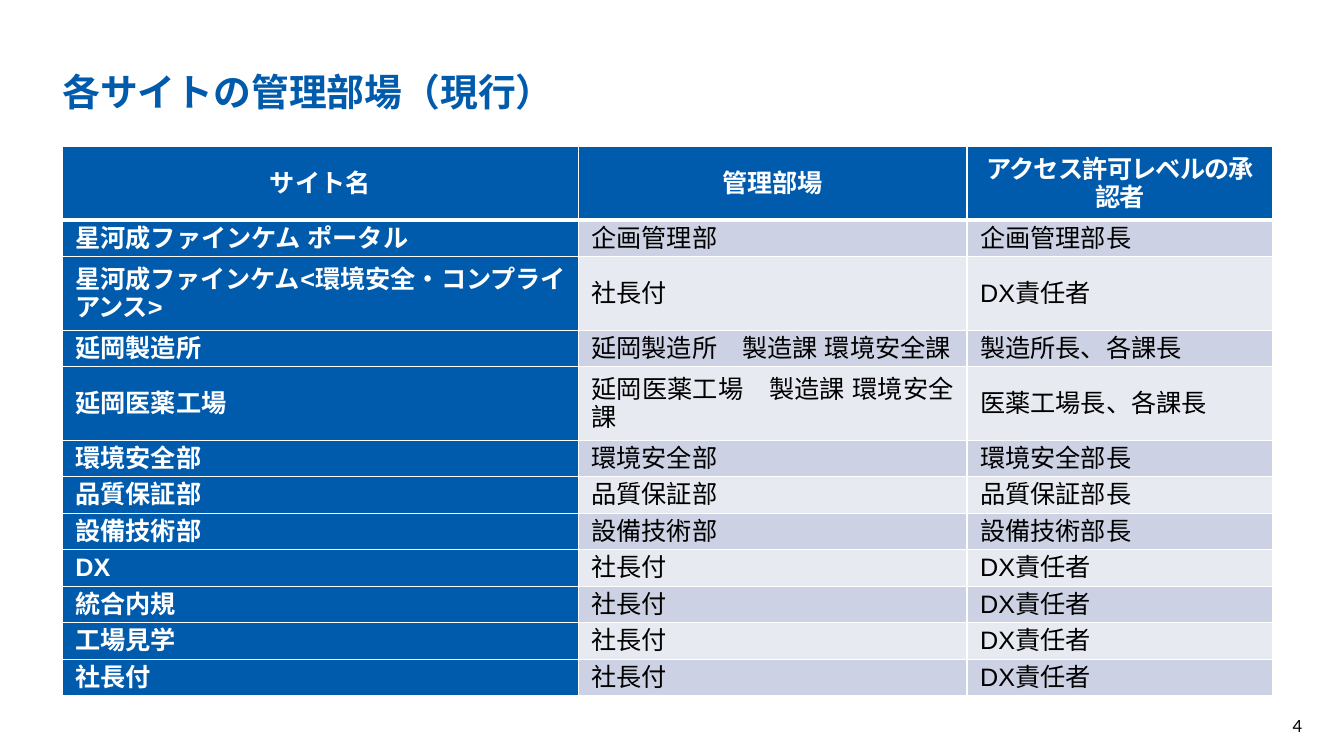
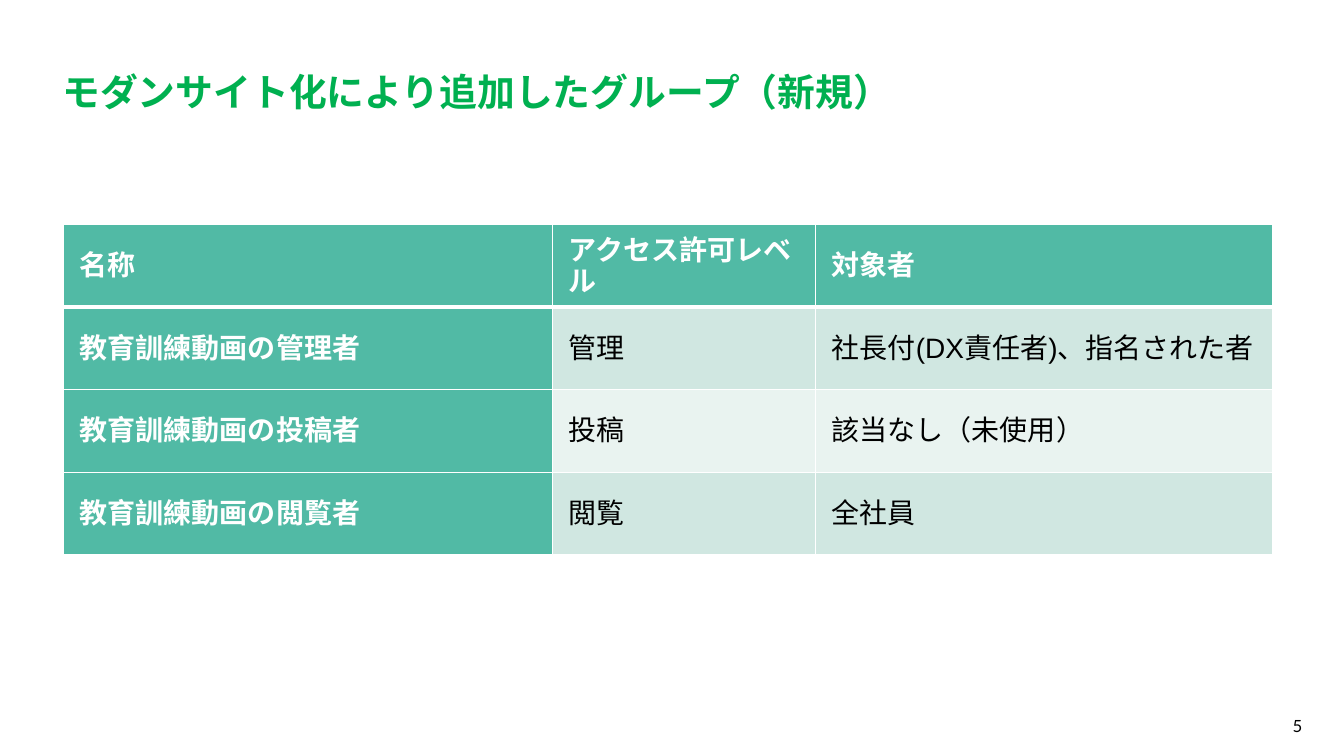
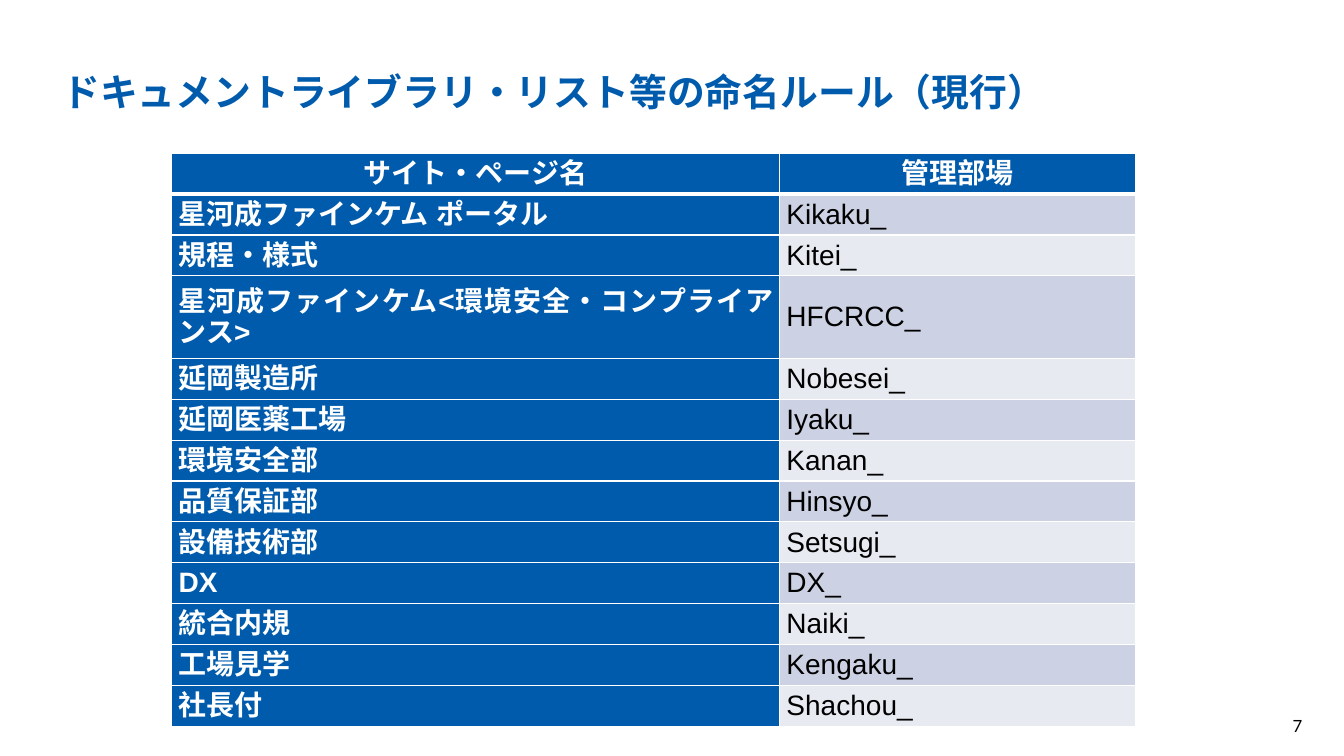
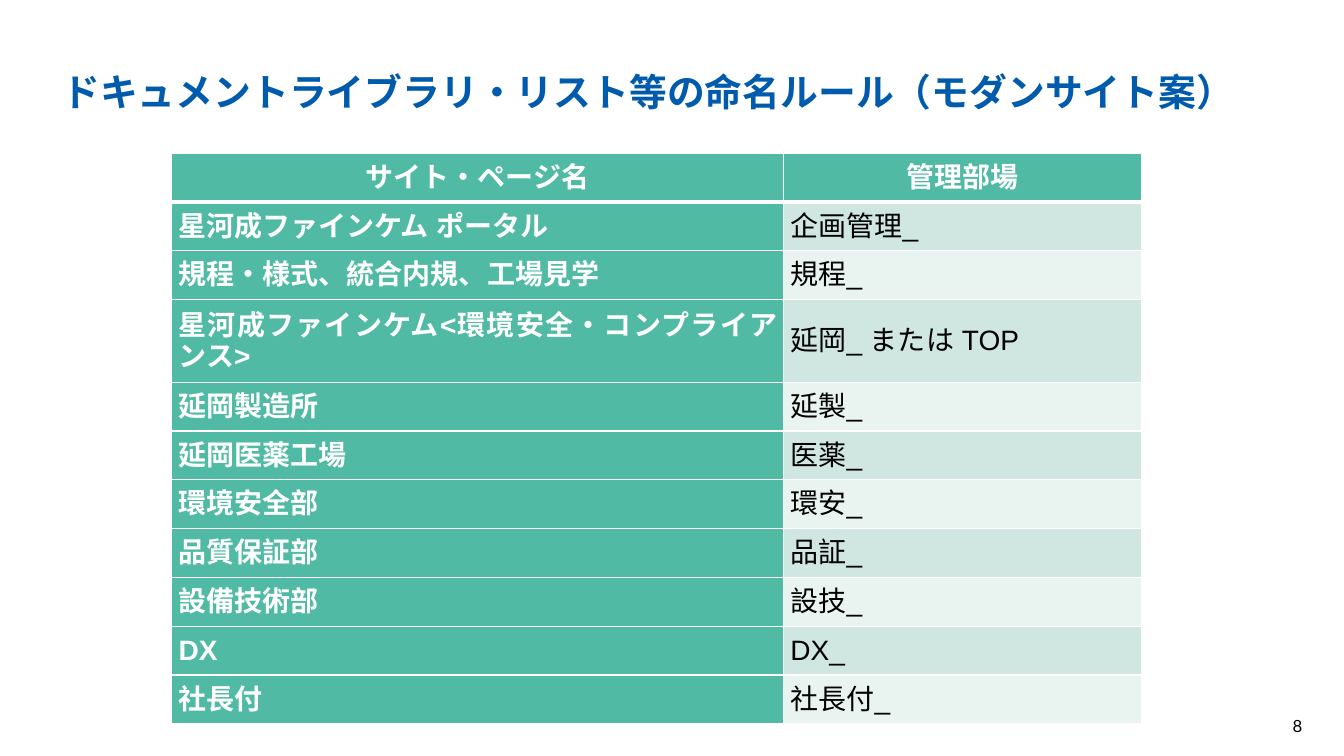
from lxml import etree
from pptx import Presentation
from pptx.dml.color import RGBColor
from pptx.enum.text import MSO_ANCHOR, MSO_AUTO_SIZE, PP_ALIGN
from pptx.oxml.ns import qn
from pptx.util import Cm, Pt

LEFT, MID, RIGHT, JUST = (PP_ALIGN.LEFT, PP_ALIGN.CENTER,
                          PP_ALIGN.RIGHT, PP_ALIGN.JUSTIFY)
TOP, CENTER = MSO_ANCHOR.TOP, MSO_ANCHOR.MIDDLE
FIXED = MSO_AUTO_SIZE.NONE

# Shared look
COLORS = {"blue": "005BAC", "green": "00B050", "white": "FFFFFF", "black": "000000"}
THEMES = {
    "blue": {"head": "005BAC", "bands": ("CCD2E3", "E7EAF1")},
    "mint": {"head": "51BAA5", "bands": ("D0E7E1", "E9F3F0")},
}
TITLE_FONT, TABLE_FONT = "Lato", "Arial"
TITLE_BOX = (1.57, 1.5, 30.5, 1.3)
PAGE_BOX = (32.05, 18.03, 1.02, 0.51)
TITLE_ONLY = 5
THIN, THICK = 1, 3

# Content
PORTAL = "星河成ファインケム ポータル"
SAFETY = "星河成ファインケム<環境安全・コンプライアンス>"
HEAD = "サイト・ページ名", "管理部場"

SITES = [
    ("サイト名", "管理部場", "アクセス許可レベルの承認者"),
    (PORTAL, "企画管理部", "企画管理部長"),
    (SAFETY, "社長付", "DX責任者"),
    ("延岡製造所", "延岡製造所　製造課 環境安全課", "製造所長、各課長"),
    ("延岡医薬工場", "延岡医薬工場　製造課 環境安全課", "医薬工場長、各課長"),
    ("環境安全部", "環境安全部", "環境安全部長"),
    ("品質保証部", "品質保証部", "品質保証部長"),
    ("設備技術部", "設備技術部", "設備技術部長"),
    ("DX", "社長付", "DX責任者"),
    ("統合内規", "社長付", "DX責任者"),
    ("工場見学", "社長付", "DX責任者"),
    ("社長付", "社長付", "DX責任者"),
]
GROUPS = [
    ("名称", "アクセス許可レベル", "対象者"),
    ("教育訓練動画の管理者", "管理", "社長付(DX責任者)、指名された者"),
    ("教育訓練動画の投稿者", "投稿", "該当なし（未使用）"),
    ("教育訓練動画の閲覧者", "閲覧", "全社員"),
]
RULES = [
    HEAD,
    (PORTAL, "Kikaku_"),
    ("規程・様式", "Kitei_"),
    (SAFETY, "HFCRCC_"),
    ("延岡製造所", "Nobesei_"),
    ("延岡医薬工場", "Iyaku_"),
    ("環境安全部", "Kanan_"),
    ("品質保証部", "Hinsyo_"),
    ("設備技術部", "Setsugi_"),
    ("DX", "DX_"),
    ("統合内規", "Naiki_"),
    ("工場見学", "Kengaku_"),
    ("社長付", "Shachou_"),
]
DRAFT = [
    HEAD,
    (PORTAL, "企画管理_"),
    ("規程・様式、統合内規、工場見学", "規程_"),
    (SAFETY, "延岡_ または TOP"),
    ("延岡製造所", "延製_"),
    ("延岡医薬工場", "医薬_"),
    ("環境安全部", "環安_"),
    ("品質保証部", "品証_"),
    ("設備技術部", "設技_"),
    ("DX", "DX_"),
    ("社長付", "社長付_"),
]

# Lengths in cm; "tall" lists the rows with two lines of text,
# "tight" the texts with narrowed letter spacing
SLIDES = [
    {"page": 4, "title": "各サイトの管理部場（現行）", "color": "blue",
     "rows": SITES, "theme": "blue", "at": (1.57, 3.7), "cols": (13, 9.8, 7.7),
     "high": 0.92, "tall": {0: 1.85, 2: 1.85, 4: 1.85}, "pad": 0.33,
     "size": 18, "align": (MID, JUST), "tight": (SITES[0][2], SAFETY)},
    {"page": 5, "title": "モダンサイト化により追加したグループ（新規）", "color": "green",
     "rows": GROUPS, "theme": "mint", "at": (1.6, 5.66), "cols": (12.32, 6.63, 11.53),
     "high": 2.08, "tall": {}, "pad": 0.41,
     "size": 20, "align": (LEFT, LEFT), "tight": ()},
    {"page": 7, "title": "ドキュメントライブラリ・リスト等の命名ルール（現行）", "color": "blue",
     "rows": RULES, "theme": "blue", "at": (4.32, 3.86), "cols": (15.32, 8.99),
     "high": 1.03, "tall": {3: 2.08}, "pad": 0.18,
     "size": 20, "align": (MID, JUST), "tight": ()},
    {"page": 8, "title": "ドキュメントライブラリ・リスト等の命名ルール（モダンサイト案）",
     "color": "blue",
     "rows": DRAFT, "theme": "mint", "at": (4.32, 3.86), "cols": (15.42, 9.04),
     "high": 1.23, "tall": {3: 2.08}, "pad": 0.18,
     "size": 20, "align": (MID, JUST), "tight": ()},
]


def write(frame, text, font, size, color, bold, align):
    """Put one formatted run into the first paragraph."""
    para = frame.paragraphs[0]
    para.alignment = align
    run = para.add_run()
    run.text = text
    run.font.name, run.font.size, run.font.bold = font, Pt(size), bold
    run.font.color.rgb = RGBColor.from_string(color)
    # East Asian text takes the same font
    etree.SubElement(run.font._element, qn("a:ea"), typeface=font)
    return para, run


def inset(item, side):
    item.margin_left = item.margin_right = Cm(side)
    item.margin_top = item.margin_bottom = 0


def place(shape, box):
    shape.left, shape.top, shape.width, shape.height = map(Cm, box)


def rule(cell, row):
    """White cell borders, thick between the head and the body."""
    edges = {"L": THIN, "R": THIN,
             "T": THICK if row == 1 else THIN,
             "B": THICK if row == 0 else THIN}
    props = cell._tc.get_or_add_tcPr()
    for i, (side, wide) in enumerate(edges.items()):
        line = etree.Element(qn("a:ln" + side), w=str(Pt(wide)))
        fill = etree.SubElement(line, qn("a:solidFill"))
        etree.SubElement(fill, qn("a:srgbClr"), val=COLORS["white"])
        props.insert(i, line)


def add_title(slide, data):
    frame = slide.shapes.title.text_frame
    frame.auto_size, frame.word_wrap = FIXED, True
    frame.vertical_anchor = TOP
    inset(frame, 0)
    para, _ = write(frame, data["title"], TITLE_FONT, 27,
                    COLORS[data["color"]], True, LEFT)
    para.line_spacing = 1.2


def add_page(slide, page):
    frame = slide.shapes.add_textbox(*map(Cm, PAGE_BOX)).text_frame
    frame.word_wrap = True
    inset(frame, 0.25)
    para, _ = write(frame, str(page), TITLE_FONT, 12, COLORS["black"], False, RIGHT)
    para.space_after = Pt(6)


def add_grid(slide, data):
    rows, cols, theme = data["rows"], data["cols"], THEMES[data["theme"]]
    highs = [data["tall"].get(i, data["high"]) for i in range(len(rows))]
    box = (*data["at"], sum(cols), sum(highs))
    table = slide.shapes.add_table(len(rows), len(cols), *map(Cm, box)).table
    table.first_col = True
    for col, wide in zip(table.columns, cols):
        col.width = Cm(wide)
    for i, texts in enumerate(rows):
        table.rows[i].height = Cm(highs[i])
        for j, text in enumerate(texts):
            cell = table.cell(i, j)
            strong = i == 0 or j == 0
            fill = theme["head"] if strong else theme["bands"][(i - 1) % 2]
            cell.fill.solid()
            cell.fill.fore_color.rgb = RGBColor.from_string(fill)
            cell.vertical_anchor = CENTER
            inset(cell, data["pad"])
            rule(cell, i)
            _, run = write(cell.text_frame, text, TABLE_FONT, data["size"],
                           COLORS["white" if strong else "black"], strong,
                           data["align"][min(i, 1)])
            if text in data["tight"]:
                run.font._element.set("spc", "-60")


def main():
    deck = Presentation()
    deck.slide_width, deck.slide_height = Cm(33.87), Cm(19.05)
    layout = deck.slide_layouts[TITLE_ONLY]
    place(layout.placeholders[0], TITLE_BOX)
    for data in SLIDES:
        slide = deck.slides.add_slide(layout)
        add_page(slide, data["page"])
        add_title(slide, data)
        add_grid(slide, data)
    deck.save("out.pptx")


if __name__ == "__main__":
    main()
